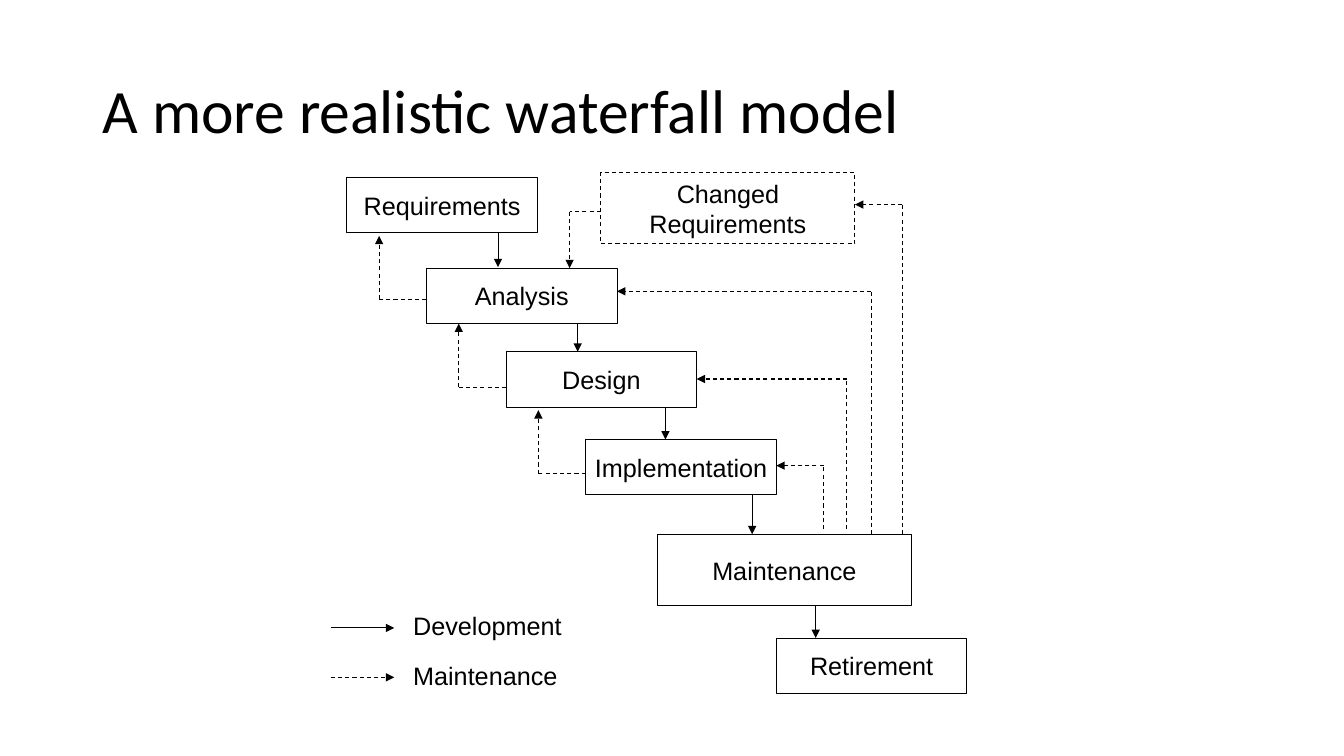
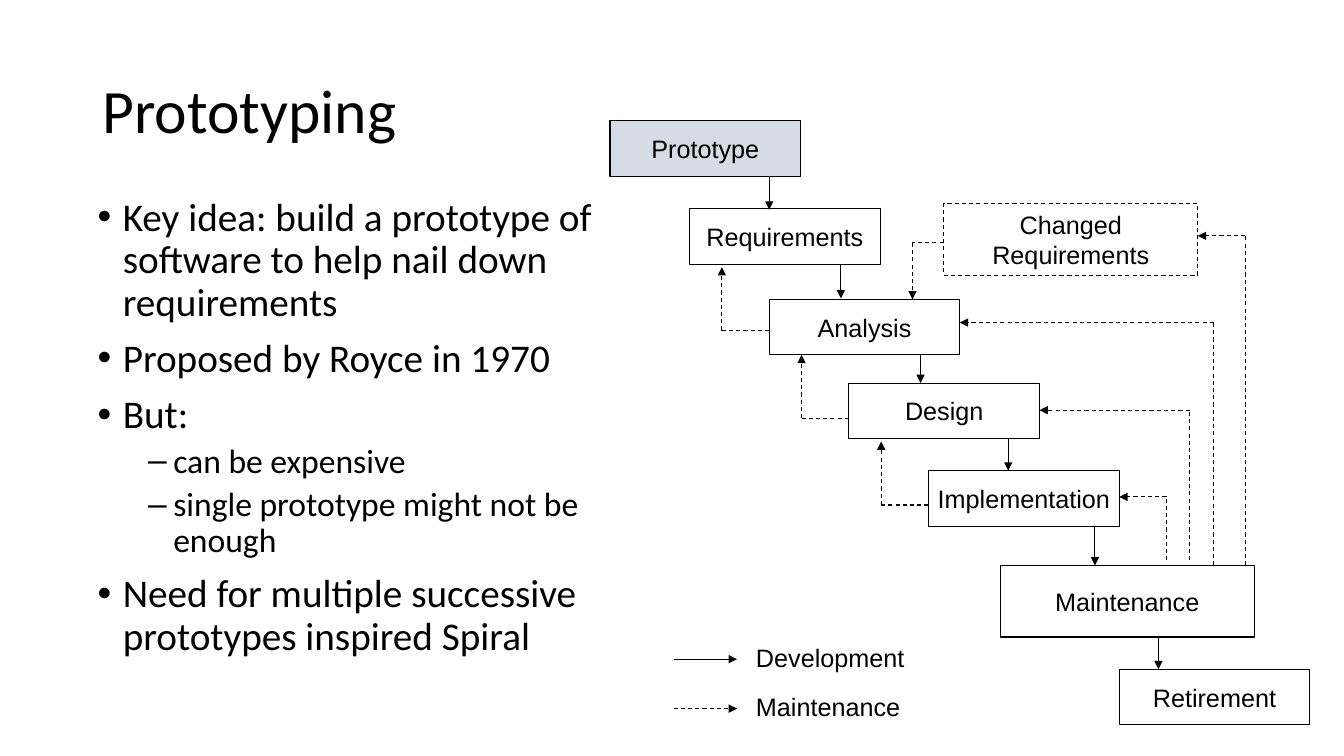
from lxml import etree
from pptx import Presentation
from pptx.dml.color import RGBColor
from pptx.enum.dml import MSO_LINE
from pptx.enum.shapes import MSO_CONNECTOR, MSO_SHAPE
from pptx.enum.text import MSO_ANCHOR, PP_ALIGN
from pptx.oxml.ns import qn
from pptx.util import Inches, Pt

COLORS = {"ink": "000000", "paper": "FFFFFF", "prototype": "D6DCE5"}
BOX_W, BOX_H = 1.89, 0.55
WIDE_W, WIDE_H = 2.52, 0.71

STAGES = [
    (["Requirements"], 3.44, 1.76, BOX_W, BOX_H, False),
    (["Analysis"], 4.23, 2.66, BOX_W, BOX_H, False),
    (["Design"], 5.02, 3.49, BOX_W, BOX_H, False),
    (["Implementation"], 5.81, 4.36, BOX_W, BOX_H, False),
    (["Maintenance"], 6.52, 5.3, WIDE_W, WIDE_H, False),
    (["Retirement"], 7.7, 6.33, BOX_W, BOX_H, False),
    (["Changed", "Requirements"], 5.96, 1.71, WIDE_W, WIDE_H, True),
]
FORWARD = [(4.94, 2.31, 2.65), (5.73, 3.21, 3.49), (6.6, 4.04, 4.36),
           (7.46, 4.91, 5.3), (8.09, 6.01, 6.33)]
BACK = [(4.23, 2.97), (5.02, 3.84), (5.81, 4.7)]
RETURNS = [(8.17, 5.25, 4.62, 7.7), (8.4, 5.25, 3.76, 6.91),
           (8.64, 5.3, 2.89, 6.12), (8.95, 5.3, 2.03, 8.48)]
LEGEND = [("Development", 6.23, False), ("Maintenance", 6.72, True)]
BULLETS = [
    (0, "Key idea: build a prototype of software to help nail down requirements"),
    (0, "Proposed by Royce in 1970"),
    (0, "But:"),
    (1, "can be expensive"),
    (1, "single prototype might not be enough"),
    (0, "Need for multiple successive prototypes inspired Spiral"),
]
LEVELS = [(28, 10, 0.25, "•"), (24, 5, 0.75, "–")]

prs = Presentation()
prs.slide_width, prs.slide_height = Inches(13.33), Inches(7.5)


def add_text(s, lines, x, y, w, h, size=18, font="Arial", fill=None, dashed=False):
    if fill:
        sp = s.shapes.add_shape(MSO_SHAPE.RECTANGLE, Inches(x), Inches(y), Inches(w), Inches(h))
        sp.shadow.inherit = False
        sp.fill.solid()
        sp.fill.fore_color.rgb = RGBColor.from_string(COLORS[fill])
        sp.line.color.rgb = RGBColor.from_string(COLORS["ink"])
        sp.line.width = Pt(0.75)
        if dashed:
            sp.line.dash_style = MSO_LINE.DASH
    else:
        sp = s.shapes.add_textbox(Inches(x), Inches(y), Inches(w), Inches(h))
    tf = sp.text_frame
    tf.word_wrap = False
    tf.vertical_anchor = MSO_ANCHOR.MIDDLE
    for i, line in enumerate(lines):
        p = tf.add_paragraph() if i else tf.paragraphs[0]
        p.alignment = PP_ALIGN.CENTER if fill else PP_ALIGN.LEFT
        r = p.add_run()
        r.text = line
        r.font.size, r.font.name = Pt(size), font
        r.font.color.rgb = RGBColor.from_string(COLORS["ink"])
    return tf


def add_route(s, points, dashed=False):
    for (x1, y1), (x2, y2) in zip(points, points[1:]):
        c = s.shapes.add_connector(MSO_CONNECTOR.STRAIGHT, Inches(x1), Inches(y1),
                                   Inches(x2), Inches(y2))
        c.line.color.rgb = RGBColor.from_string(COLORS["ink"])
        c.line.width = Pt(0.75)
        if dashed:
            c.line.dash_style = MSO_LINE.DASH
        props = c.element.find(qn("p:spPr"))
        etree.SubElement(props, qn("a:effectLst"))
    etree.SubElement(props.find(qn("a:ln")), qn("a:tailEnd"), type="triangle")


for title, dx, dy in [("A more realistic waterfall model", 0, 0), ("Prototyping", 3.4, 0.31)]:
    s = prs.slides.add_slide(prs.slide_layouts[6])
    tf = add_text(s, [title], 0.92, 0.4, 11.5, 1.45, 44, "Calibri")
    tf.word_wrap = True
    tf.paragraphs[0].line_spacing = 0.9

    for lines, x, y, w, h, dashed in STAGES:
        add_text(s, lines, x + dx, y + dy, w, h, fill="paper", dashed=dashed)

    routes = [([(x, top), (x, bottom)], False) for x, top, bottom in FORWARD]
    routes += [([(x, y), (x - 0.47, y), (x - 0.47, y - 0.63)], True) for x, y in BACK]
    routes += [([(x, start), (x, y), (end, y)], True) for x, start, y, end in RETURNS]
    routes += [([(5.96, 2.1), (5.65, 2.1), (5.65, 2.66)], True)]
    for label, y, dashed in LEGEND:
        routes.append(([(3.28, y), (3.91, y)], dashed))
        add_text(s, [label], 4 + dx, y - 0.22 + dy, 1.67, 0.4)
    for points, dashed in routes:
        add_route(s, [(x + dx, y + dy) for x, y in points], dashed)

add_text(s, ["Prototype"], 6.05, 1.2, BOX_W, BOX_H, fill="prototype")
add_route(s, [(7.63, 1.76), (7.63, 2.08)])

tf = add_text(s, [text for level, text in BULLETS], 0.87, 1.91, 5.65, 4.76, 28, "Calibri")
tf.word_wrap = True
tf.vertical_anchor = MSO_ANCHOR.TOP
for p, (level, text) in zip(tf.paragraphs, BULLETS):
    size, before, indent, bullet = LEVELS[level]
    p.level = level
    p.line_spacing = 0.9
    p.space_before = Pt(before)
    p.runs[0].font.size = Pt(size)
    props = p._p.get_or_add_pPr()
    props.set("marL", str(Inches(indent)))
    props.set("indent", str(Inches(-0.25)))
    etree.SubElement(props, qn("a:buFont"), typeface="Arial")
    etree.SubElement(props, qn("a:buChar"), char=bullet)

prs.save("out.pptx")
